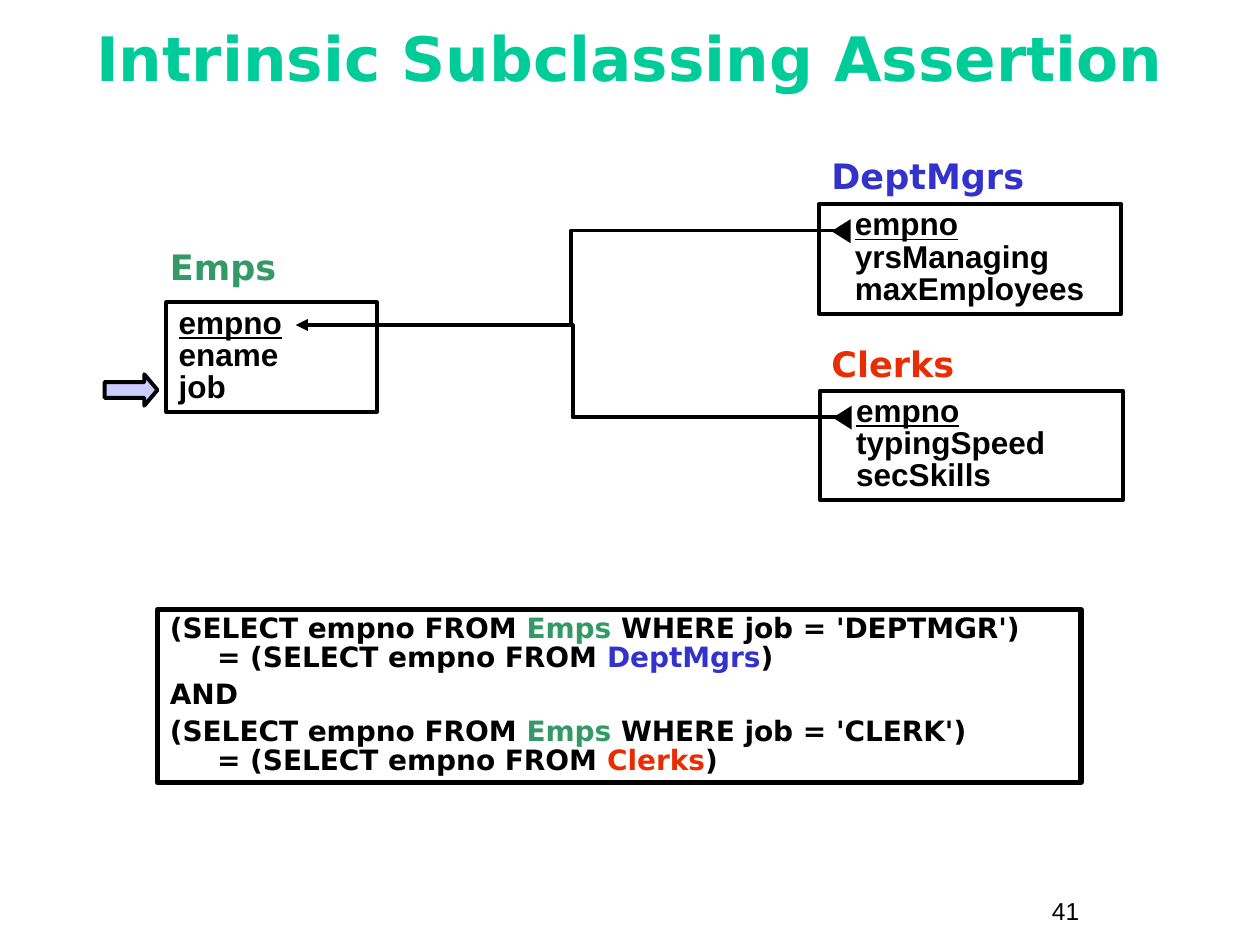
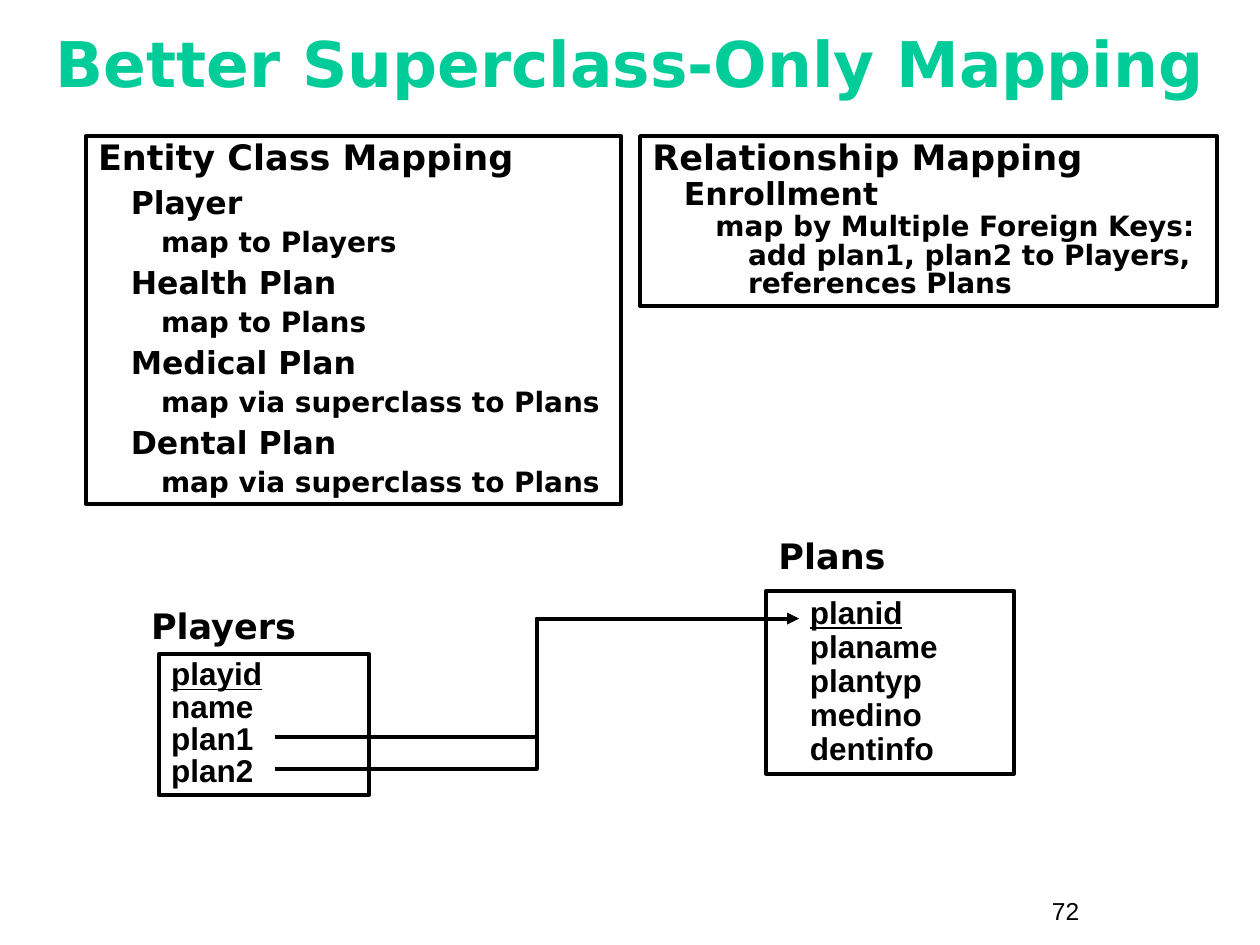
from pptx import Presentation
from pptx.util import Pt
from pptx.dml.color import RGBColor as Rgb
from pptx.enum.shapes import MSO_SHAPE as Kind, MSO_CONNECTOR as Wire
from pptx.enum.text import PP_ALIGN as Align, MSO_ANCHOR as Anchor
from pptx.oxml.ns import qn
from lxml.etree import SubElement as Sub

hues = {
    "black": "000000",
    "title": "00CC99",
    "green": "339966",
    "blue": "3333CC",
    "red": "EA2D00",
    "arrow": "CCCCFF",
}
sans, body = "DejaVu Sans", "Arial"


def tone(name):
    return Rgb.from_string(hues[name])


def say(frame, text, size=20, font=sans, hue="black", bold=True, under=False,
        left=0, hang=0, gap=0, lead=1.0, align=Align.LEFT):
    para = frame.paragraphs[0]
    if para.runs:
        para = frame.add_paragraph()
        para.space_before = Pt(gap)
    props = para._p.get_or_add_pPr()
    props.set("marL", str(Pt(left)))
    props.set("indent", str(Pt(-hang)))
    para.line_spacing = lead
    para.alignment = align
    parts = [(text, hue)] if isinstance(text, str) else text
    for part, shade in parts:
        run = para.add_run()
        run.text = part
        run.font.size = Pt(size)
        run.font.name = font
        run.font.bold = bold
        run.font.underline = under
        run.font.color.rgb = tone(shade)


def box(page, x, y, wide, high, edge=0, anchor=Anchor.TOP):
    spot = [Pt(n) for n in (x, y, wide, high)]
    if edge:
        shape = page.shapes.add_shape(Kind.RECTANGLE, *spot)
        shape.shadow.inherit = False
        shape.fill.background()
        shape.line.color.rgb = tone("black")
        shape.line.width = Pt(edge)
    else:
        shape = page.shapes.add_textbox(*spot)
    frame = shape.text_frame
    frame.word_wrap = True
    frame.vertical_anchor = anchor
    return frame


deck = Presentation()
deck.slide_width, deck.slide_height = Pt(720), Pt(540)

pages = []
for title, size, high, num in [
    ("Intrinsic Subclassing Assertion", 35, 54, "41"),
    ("Better Superclass-Only Mapping", 36, 59.76, "72"),
]:
    page = deck.slides.add_slide(deck.slide_layouts[6])
    pages.append(page)
    frame = box(page, 24, 5.76, 672, high, anchor=Anchor.MIDDLE)
    say(frame, title, size=size, hue="title", align=Align.CENTER)
    say(box(page, 594, 508.32, 66.24, 24.48), num, size=14, font=body, bold=False)
first, last = pages

tables = [
    (first, "Emps", "green", (90, 136.8), (95.04, 172.8, 120.24, 62.64),
     0, 0.85, ["empno", "ename", "job"]),
    (first, "DeptMgrs", "blue", (468, 84.96), (468, 116.64, 172.8, 62.64),
     13.5, 0.85, ["empno", "yrsManaging", "maxEmployees"]),
    (first, "Clerks", "red", (468, 196.56), (468.72, 223.2, 172.8, 62.64),
     13.5, 0.85, ["empno", "typingSpeed", "secSkills"]),
    (last, "Players", "black", (79.2, 342), (90.72, 373.68, 120.24, 80.64),
     0, 0.85, ["playid", "name", "plan1", "plan2"]),
    (last, "Plans", "black", (437.76, 301.68), (437.76, 337.68, 141.84, 104.4),
     18, 0.9, ["planid", "planame", "plantyp", "medino", "dentinfo"]),
]
for page, name, hue, spot, area, left, lead, cols in tables:
    say(box(page, *spot, 154.8, 31.68), name, hue=hue,
        lead=0.8 if name == "Clerks" else 1.0)
    frame = box(page, *area, edge=2.25)
    for col in cols:
        say(frame, col, size=18, font=body, left=left, lead=lead,
            under=col == cols[0])

links = [
    (first, (169.2, 185.76), (485.28, 238.32), "headEnd"),
    (first, (169.2, 185.76), (483.84, 131.76), "headEnd"),
    (last, (156.96, 421.2), (456.48, 353.52), "tailEnd"),
    (last, (156.96, 439.2), (456.48, 353.52), "tailEnd"),
]
for page, start, stop, end in links:
    wire = page.shapes.add_connector(Wire.ELBOW, *[Pt(n) for n in start + stop])
    wire.line.color.rgb = tone("black")
    wire.line.width = Pt(2.25)
    Sub(wire.line._get_or_add_ln(), qn("a:" + end), type="triangle")
    Sub(wire._element.spPr, qn("a:effectLst"))

for x, y in [(473.76, 126.72), (474.48, 233.28)]:
    tip = first.shapes.add_shape(Kind.ISOSCELES_TRIANGLE, Pt(x), Pt(y), Pt(13.68), Pt(10.8))
    tip.rotation = 270
    tip.shadow.inherit = False
    tip.fill.solid()
    tip.fill.fore_color.rgb = tone("black")
    tip.line.fill.background()

arrow = first.shapes.add_shape(Kind.RIGHT_ARROW, Pt(59.76), Pt(213.84), Pt(30.24), Pt(18))
arrow.adjustments[1] = 0.42
arrow.shadow.inherit = False
arrow.fill.solid()
arrow.fill.fore_color.rgb = tone("arrow")
arrow.line.color.rgb = tone("black")
arrow.line.width = Pt(2.25)

query = box(first, 90, 348.48, 527.76, 98.64, edge=3)
for job, name, hue in [("DEPTMGR", "DeptMgrs", "blue"), ("CLERK", "Clerks", "red")]:
    if job == "CLERK":
        say(query, "AND", size=16, lead=0.85, gap=5)
    say(query, [("(SELECT empno FROM ", "black"), ("Emps", "green"),
                (f" WHERE job = '{job}')", "black")], size=16, lead=0.85, gap=5)
    say(query, [("= (SELECT empno FROM ", "black"), (name, hue), (")", "black")],
        size=16, lead=0.85, left=27)

frame = box(last, 48.96, 77.76, 306, 210.24, edge=2.25)
say(frame, "Entity Class Mapping", lead=0.85)
for name, rule in [
    ("Player", "map to Players"),
    ("Health Plan", "map to Plans"),
    ("Medical Plan", "map via superclass to Plans"),
    ("Dental Plan", "map via superclass to Plans"),
]:
    say(frame, name, size=18, left=18.72, lead=0.7, gap=9)
    say(frame, rule, size=16, left=36, lead=0.7, gap=8)

frame = box(last, 365.76, 77.76, 329.76, 97.2, edge=2.25)
say(frame, "Relationship Mapping", lead=0.85)
say(frame, "Enrollment", size=18, left=18, lead=0.85, gap=1.1)
say(frame, "map by Multiple Foreign Keys: add plan1, plan2 to Players, references Plans",
    size=16, left=54.72, hang=18.72, lead=0.85, gap=1)

deck.save("out.pptx")
